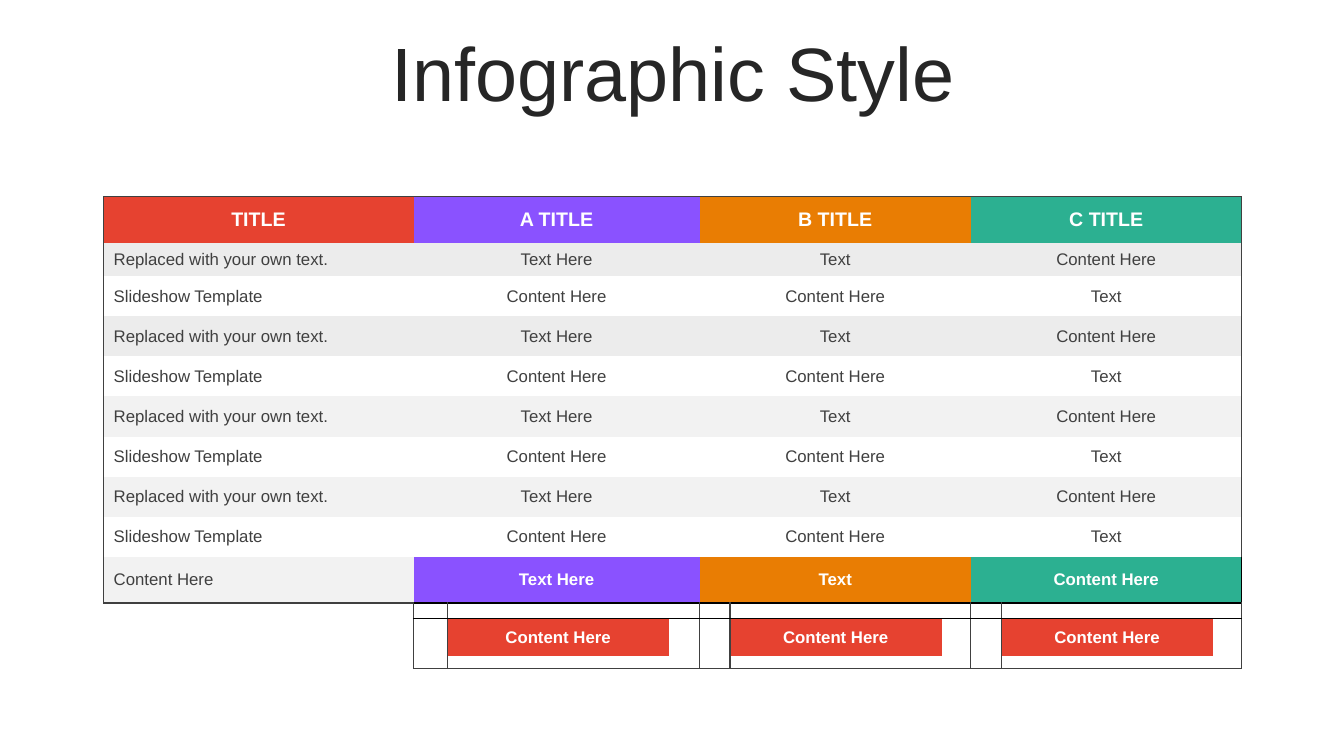
from lxml import etree
from pptx import Presentation
from pptx.dml.color import RGBColor
from pptx.enum.text import MSO_ANCHOR, PP_ALIGN
from pptx.oxml.ns import qn
from pptx.util import Pt

MIDDLE = MSO_ANCHOR.MIDDLE
LEFT, CENTER = PP_ALIGN.LEFT, PP_ALIGN.CENTER

BLACK = RGBColor(0x00, 0x00, 0x00)
INK = RGBColor(0x26, 0x26, 0x26)
GRAY = RGBColor(0x40, 0x40, 0x40)
WHITE = RGBColor(0xFF, 0xFF, 0xFF)
RED = RGBColor(0xE6, 0x42, 0x30)
PURPLE = RGBColor(0x8A, 0x52, 0xFF)
ORANGE = RGBColor(0xE9, 0x7D, 0x03)
GREEN = RGBColor(0x2C, 0xB0, 0x91)
DARK_BAND = RGBColor(0xEC, 0xEC, 0xEC)
LIGHT_BAND = RGBColor(0xF2, 0xF2, 0xF2)

PLAIN_STYLE = "{2D5ABB26-0587-4C30-8999-92F81FD0307C}"
COLUMN_WIDTHS = [221.4, 24, 158.6, 21.8, 21.6, 151.2, 20.9, 22.1, 150.6, 20.9]
ROW_HEIGHTS = [33, 23.7] + [28.65] * 7 + [33, 11.2, 26.5, 9.3]
GROUP_STARTS = [1, 4, 7]
GROUP_COLORS = [PURPLE, ORANGE, GREEN]
LAST_COLUMN = 9
TOTAL_ROW, GAP_ROW, BUTTON_ROW, BOTTOM_ROW = 9, 10, 11, 12

HEADERS = ["TITLE", "A TITLE", "B TITLE", "C TITLE"]
ODD_ROW = ["Replaced with your own text.", "Text Here", "Text", "Content Here"]
EVEN_ROW = ["Slideshow Template", "Content Here", "Content Here", "Text"]
TOTALS = ["Content Here", "Text Here", "Text", "Content Here"]
BANDS = [DARK_BAND, None, DARK_BAND, None, LIGHT_BAND, None, LIGHT_BAND, None]


def write_text(frame, text, size=12, color=GRAY, bold=False, align=CENTER, spacing=None):
    paragraph = frame.paragraphs[0]
    paragraph.alignment = align
    if spacing:
        paragraph.line_spacing = spacing
    run = paragraph.add_run()
    run.text = text
    run.font.name = "Arial"
    run.font.size = Pt(size)
    run.font.bold = bold
    run.font.color.rgb = color


def add_title(slide, text):
    box = slide.shapes.add_textbox(Pt(25.2), Pt(26.6), Pt(911.5), Pt(56.9))
    box.text_frame.word_wrap = True
    box.text_frame.vertical_anchor = MIDDLE
    write_text(box.text_frame, text, size=54, color=INK, spacing=0.9)


def add_border(cell, side, color):
    properties = cell._tc.get_or_add_tcPr()
    line = etree.SubElement(properties, qn(f"a:ln{side}"), w=str(Pt(1)))
    fill = etree.SubElement(line, qn("a:solidFill"))
    etree.SubElement(fill, qn("a:srgbClr"), val=str(color))


def style_cell(cell, fill=None, borders=None):
    cell.vertical_anchor = MIDDLE
    for side in "LRTB":
        if borders and side in borders:
            add_border(cell, side, borders[side])
    if fill is None:
        cell.fill.background()
    else:
        cell.fill.solid()
        cell.fill.fore_color.rgb = fill


def shrink_cell(cell):
    cell.margin_left = cell.margin_right = cell.margin_top = cell.margin_bottom = 0
    paragraph = cell.text_frame.paragraphs[0]
    etree.SubElement(paragraph._p, qn("a:endParaRPr"), sz="100")


def add_plain_table(slide):
    frame = slide.shapes.add_table(
        len(ROW_HEIGHTS), len(COLUMN_WIDTHS), Pt(74), Pt(140.6),
        Pt(sum(COLUMN_WIDTHS)), Pt(sum(ROW_HEIGHTS)))
    table = frame.table
    table.first_row = False
    table.horz_banding = False
    table._tbl.tblPr.find(qn("a:tableStyleId")).text = PLAIN_STYLE
    for column, width in zip(table.columns, COLUMN_WIDTHS):
        column.width = Pt(width)
    for row, height in zip(table.rows, ROW_HEIGHTS):
        row.height = Pt(height)
    return table


def fill_row(table, row, texts, fills, label_format, group_format, edges=None, group_edges=None):
    edges = edges or {}
    group_edges = edges if group_edges is None else group_edges
    label = table.cell(row, 0)
    style_cell(label, fills[0], {"L": GRAY, **edges})
    write_text(label.text_frame, texts[0], **label_format)
    right_color = group_edges.get("B", GRAY)
    for start, text, fill in zip(GROUP_STARTS, texts[1:], fills[1:]):
        end = start + 2
        borders = dict(group_edges)
        if end == LAST_COLUMN:
            borders["R"] = right_color
        for column in range(start, end + 1):
            cell = table.cell(row, column)
            own_borders = borders if column in (start, end) else group_edges
            style_cell(cell, fill, own_borders)
            if column > start:
                shrink_cell(cell)
        origin = table.cell(row, start)
        origin.merge(table.cell(row, end))
        write_text(origin.text_frame, text, **group_format)


def fill_buttons(table):
    for row in range(GAP_ROW, BOTTOM_ROW + 1):
        style_cell(table.cell(row, 0))
        shrink_cell(table.cell(row, 0))
        for column in range(1, LAST_COLUMN + 1):
            cell = table.cell(row, column)
            place = (column - 1) % 3
            borders = {}
            if place == 0:
                borders["L"] = GRAY
            if place == 2:
                borders["R"] = GRAY
            if row == GAP_ROW:
                borders["T"] = BLACK
            if row == BOTTOM_ROW:
                borders["B"] = GRAY
            if row == BUTTON_ROW and place == 1:
                style_cell(cell, RED)
                write_text(cell.text_frame, "Content Here", color=WHITE, bold=True)
            else:
                style_cell(cell, WHITE, borders)
                shrink_cell(cell)
    table.cell(GAP_ROW, 0).merge(table.cell(BOTTOM_ROW, 0))


def main():
    presentation = Presentation()
    presentation.slide_width = Pt(960)
    presentation.slide_height = Pt(540)
    slide = presentation.slides.add_slide(presentation.slide_layouts[6])
    add_title(slide, "Infographic Style")

    table = add_plain_table(slide)
    header_format = {"size": 14, "color": WHITE, "bold": True}
    label_format = {"align": LEFT}
    fill_row(table, 0, HEADERS, [RED] + GROUP_COLORS,
             header_format, header_format, {"T": GRAY})
    for row, band in enumerate(BANDS, 1):
        texts = ODD_ROW if row % 2 else EVEN_ROW
        fill_row(table, row, texts, [band] * 4, label_format, {})
    fill_row(table, TOTAL_ROW, TOTALS, [LIGHT_BAND] + GROUP_COLORS,
             label_format, {"color": WHITE, "bold": True}, {"B": GRAY}, {"B": BLACK})
    fill_buttons(table)
    presentation.save("out.pptx")


if __name__ == "__main__":
    main()
